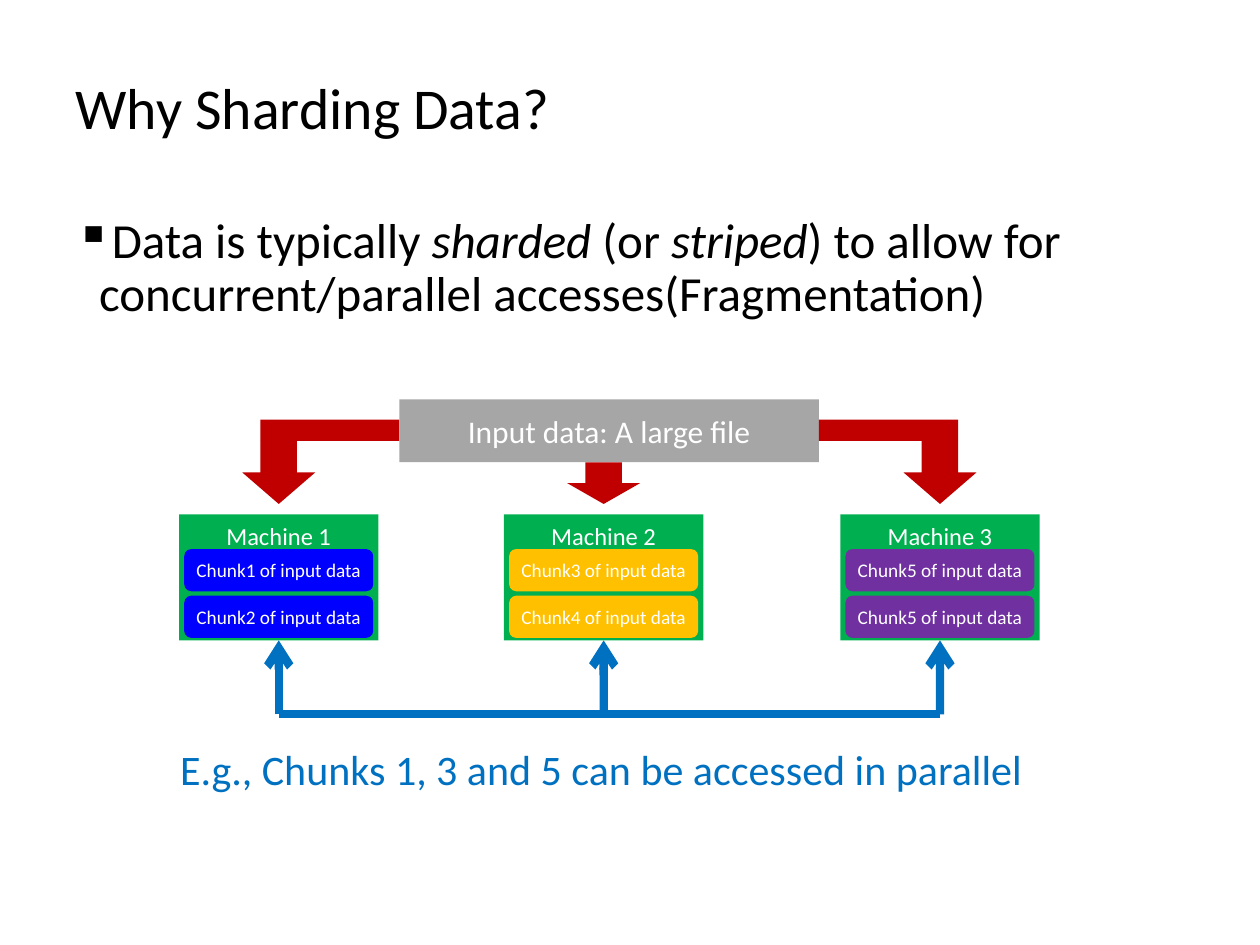
from lxml.etree import SubElement
from pptx import Presentation
from pptx.dml.color import RGBColor
from pptx.enum.shapes import MSO_CONNECTOR, MSO_SHAPE
from pptx.enum.text import MSO_ANCHOR as ANCHOR, MSO_AUTO_SIZE, PP_ALIGN as ALIGN
from pptx.oxml.ns import qn
from pptx.util import Cm, Pt

COLORS = {
    "black": "000000", "white": "FFFFFF", "file": "A6A6A6", "machine": "00B050",
    "blue": "0000FF", "gold": "FFC000", "purple": "7030A0",
    "split": "C00000", "access": "0070C0",
}
MACHINES = [  # name, left edge in cm, chunk colour, chunk numbers
    ("Machine 1", 3.61, "blue", (1, 2)),
    ("Machine 2", 10.16, "gold", (3, 4)),
    ("Machine 3", 16.94, "purple", (5, 5)),
]
MACHINE_TOP, MACHINE_W, MACHINE_H = 10.37, 4.02, 2.54
CHUNK_W, CHUNK_H, CHUNK_PITCH = 3.81, 0.85, 0.94
FILE_LEFT, FILE_TOP, FILE_W, FILE_H = 8.05, 8.05, 8.46, 1.27
BAR_TOP, BAR_H = 8.46, 0.43
ARROW_W, ARROW_TIP = 1.47, 10.16
BUS_Y = 14.4


def color(name):
    return RGBColor.from_string(COLORS[name])


def write_text(frame, runs, size, ink="white", align=ALIGN.CENTER, anchor=ANCHOR.MIDDLE,
               spacing=None, bullet=None, indent=0.48, side_inset=None, wrap=True):
    """Fill a frame with one paragraph; runs is a string or (text, italic) pairs."""
    frame.word_wrap = wrap
    frame.auto_size = MSO_AUTO_SIZE.NONE
    frame.vertical_anchor = anchor
    if side_inset is not None:
        frame.margin_left = frame.margin_right = Cm(side_inset)
    paragraph = frame.paragraphs[0]
    paragraph.alignment = align
    if spacing:
        paragraph.line_spacing = spacing
    if bullet:
        properties = paragraph._p.get_or_add_pPr()
        properties.set("marL", str(Cm(indent)))
        properties.set("indent", str(-Cm(indent)))
        SubElement(properties, qn("a:buChar"), char=bullet)
    for text, italic in [(runs, False)] if isinstance(runs, str) else runs:
        run = paragraph.add_run()
        run.text = text
        run.font.name = "Calibri"
        run.font.size = Pt(size)
        run.font.italic = italic
        run.font.color.rgb = color(ink)


def add_box(slide, left, top, width, height, fill, kind=MSO_SHAPE.RECTANGLE):
    box = slide.shapes.add_shape(kind, Cm(left), Cm(top), Cm(width), Cm(height))
    box.shadow.inherit = False
    box.fill.solid()
    box.fill.fore_color.rgb = color(fill)
    box.line.fill.background()
    return box


def add_text(slide, left, top, width, height, runs, size, **text_format):
    label = slide.shapes.add_textbox(Cm(left), Cm(top), Cm(width), Cm(height))
    write_text(label.text_frame, runs, size, **text_format)


def add_machine(slide, name, left, chunk_fill, chunk_numbers):
    machine = add_box(slide, left, MACHINE_TOP, MACHINE_W, MACHINE_H, "machine")
    write_text(machine.text_frame, name, 14, anchor=ANCHOR.TOP)
    for row, number in enumerate(chunk_numbers):
        chunk = add_box(slide, left + (MACHINE_W - CHUNK_W) / 2,
                        MACHINE_TOP + 0.7 + row * CHUNK_PITCH, CHUNK_W, CHUNK_H,
                        chunk_fill, MSO_SHAPE.ROUNDED_RECTANGLE)
        write_text(chunk.text_frame, f"Chunk{number} of input data", 11, side_inset=0)
    return machine


def add_split_arrow(slide, center):
    """Lead from the file box down to the machine centred at the given x."""
    file_right = FILE_LEFT + FILE_W
    beside_file = not FILE_LEFT < center < file_right
    top = BAR_TOP + BAR_H if beside_file else FILE_TOP + FILE_H
    add_box(slide, center - ARROW_W / 2, top, ARROW_W, ARROW_TIP - top, "split",
            MSO_SHAPE.DOWN_ARROW)
    if beside_file:
        shaft = ARROW_W / 4
        start, end = sorted((center - shaft, FILE_LEFT) if center < FILE_LEFT
                            else (file_right, center + shaft))
        add_box(slide, start, BAR_TOP, end - start, BAR_H, "split")


def add_access_line(slide, x1, y1, x2, y2, target=None):
    """Draw a line; with a target it ends in an arrowhead at the target's bottom."""
    line = slide.shapes.add_connector(MSO_CONNECTOR.STRAIGHT, Cm(x1), Cm(y1), Cm(x2), Cm(y2))
    line.line.color.rgb = color("access")
    line.line.width = Pt(4.75)
    if target is not None:
        line.end_connect(target, 2)
        SubElement(line.line._get_or_add_ln(), qn("a:tailEnd"), type="arrow")
    SubElement(line._element.spPr, qn("a:effectLst"))


def main():
    deck = Presentation()
    deck.slide_width, deck.slide_height = Cm(25.4), Cm(19.05)
    slide = deck.slides.add_slide(deck.slide_layouts[5])

    title = slide.shapes.title
    title.left, title.top, title.width, title.height = Cm(1.27), Cm(0.64), Cm(22.86), Cm(3.18)
    write_text(title.text_frame, "Why Sharding Data?", 33, ink="black",
               align=ALIGN.LEFT, spacing=0.9)

    reason = [("Data is typically ", False), ("sharded", True), (" (or ", False),
              ("striped", True),
              (") to allow for concurrent/parallel accesses(Fragmentation)", False)]
    add_text(slide, 1.27, 4.24, 23.5, 14.6, reason, 28, ink="black", align=ALIGN.LEFT,
             anchor=ANCHOR.TOP, spacing=0.9, bullet="▪")

    input_file = add_box(slide, FILE_LEFT, FILE_TOP, FILE_W, FILE_H, "file")
    write_text(input_file.text_frame, "Input data: A large file", 18)

    centers = [left + MACHINE_W / 2 for _, left, _, _ in MACHINES]
    for center, details in zip(centers, MACHINES):
        machine = add_machine(slide, *details)
        add_split_arrow(slide, center)
        add_access_line(slide, center, BUS_Y, center, MACHINE_TOP + MACHINE_H, machine)
    add_access_line(slide, centers[0], BUS_Y, centers[-1], BUS_Y)

    add_text(slide, 3.38, 14.86, 17.63, 1.27,
             "E.g., Chunks 1, 3 and 5 can be accessed in parallel", 24, ink="access",
             align=ALIGN.LEFT, anchor=ANCHOR.TOP, wrap=False)
    deck.save("out.pptx")


if __name__ == "__main__":
    main()
